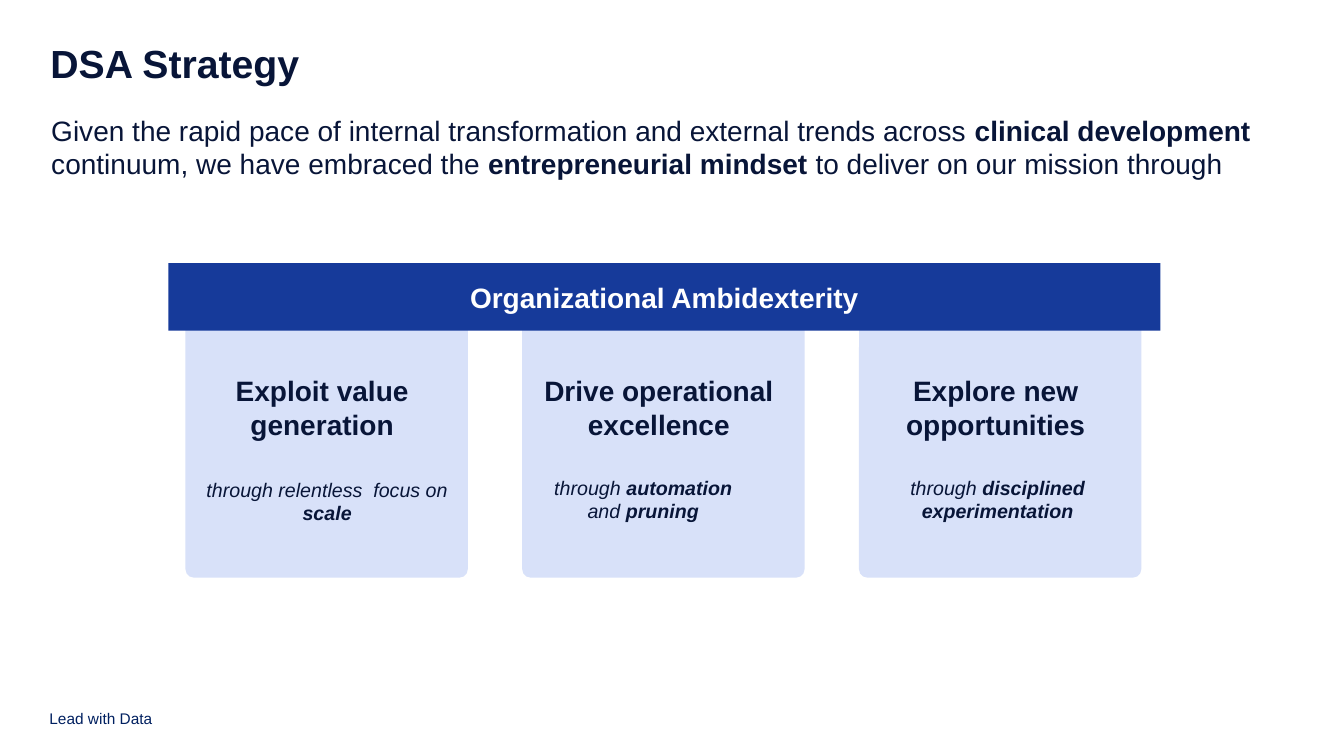
from pptx import Presentation
from pptx.dml.color import RGBColor
from pptx.enum.shapes import MSO_SHAPE
from pptx.enum.text import MSO_ANCHOR, MSO_AUTO_SIZE, PP_ALIGN
from pptx.util import Emu, Pt

PX = 9144  # 100 px to the inch
NAVY = RGBColor(0x08, 0x15, 0x38)
FOOTER_BLUE = RGBColor(0x00, 0x20, 0x60)
BAR_BLUE = RGBColor(0x16, 0x3A, 0x9A)
PALE_BLUE = RGBColor(0xD8, 0xE1, 0xF9)
WHITE = RGBColor(0xFF, 0xFF, 0xFF)

ROUND_RECT = MSO_SHAPE.ROUNDED_RECTANGLE
LEFT, CENTER = PP_ALIGN.LEFT, PP_ALIGN.CENTER
TOP, MIDDLE, BOTTOM = MSO_ANCHOR.TOP, MSO_ANCHOR.MIDDLE, MSO_ANCHOR.BOTTOM
NO_AUTOFIT = MSO_AUTO_SIZE.NONE

TITLE_FONT = dict(size=Pt(28), bold=True)
LEAD_FONT = dict(size=Pt(20))
HEADING_FONT = dict(size=Pt(20), bold=True)
DETAIL_FONT = dict(size=Pt(14), italic=True)
FOOTER_FONT = dict(size=Pt(11))

# Each pillar: heading, detail paragraphs of (text, bold) runs,
# offset of the detail box, right indent of its first line
PILLARS = [
    ("Exploit value generation",
     [[("through relentless  focus on ", False), ("scale", True)]],
     (5, 155), 0),
    ("Drive operational excellence",
     [[("through ", False), ("automation", True)],
      [("and ", False), ("pruning", True)]],
     (9, 153), 49),
    ("Explore new opportunities",
     [[("through ", False), ("disciplined experimentation", True)]],
     (2, 153), 0),
]


def px(*lengths):
    return [Emu(n * PX) for n in lengths]


def write(tf, paragraphs, font, color=NAVY, align=LEFT, anchor=TOP):
    """Fill a text frame with paragraphs of (text, bold) runs."""
    tf.word_wrap = True
    tf.auto_size = NO_AUTOFIT
    tf.vertical_anchor = anchor
    for i, runs in enumerate(paragraphs):
        p = tf.paragraphs[0] if i == 0 else tf.add_paragraph()
        p.alignment = align
        for text, bold in runs:
            r = p.add_run()
            r.text = text
            for name, value in dict(name="Arial", bold=bold, **{
                    k: v for k, v in font.items() if k != "bold"}).items():
                setattr(r.font, name, value)
            r.font.color.rgb = color


def set_margins(tf, top=0):
    tf.margin_left = tf.margin_right = tf.margin_bottom = 0
    tf.margin_top = Emu(top * PX)


def add_text(slide, box, paragraphs, font, **style):
    sp = slide.shapes.add_textbox(*px(*box))
    write(sp.text_frame, paragraphs, font, **style)
    return sp


def add_panel(slide, box, color, corner):
    sp = slide.shapes.add_shape(ROUND_RECT, *px(*box))
    sp.adjustments[0] = corner
    sp.shadow.inherit = False
    sp.fill.solid()
    sp.fill.fore_color.rgb = color
    sp.line.fill.background()
    return sp


def add_title(slide, box, text):
    sp = slide.shapes.title
    sp.left, sp.top, sp.width, sp.height = px(*box)
    set_margins(sp.text_frame, top=3)
    write(sp.text_frame, [[(text, True)]], TITLE_FONT)


def add_lead(slide, box):
    add_text(slide, box, [[
        ("Given the rapid pace of internal transformation and external trends across ", False),
        ("clinical development ", True),
        ("continuum, we have embraced the ", False),
        ("entrepreneurial mindset ", True),
        ("to deliver on our mission through", False),
    ]], LEAD_FONT, anchor=MIDDLE)


def add_pillar(slide, box, heading, details, offset, indent):
    x, y, w, h = box
    add_panel(slide, box, PALE_BLUE, 0.032)
    add_text(slide, (x, y + 52, 271, 77), [[(heading, True)]],
             HEADING_FONT, align=CENTER)
    dx, dy = offset
    sp = add_text(slide, (x + dx, y + dy, 271, 57), details,
                  DETAIL_FONT, align=CENTER)
    if indent:
        p = sp.text_frame.paragraphs[0]
        p._p.get_or_add_pPr().set("marR", str(indent * PX))


def add_bar(slide, box, text):
    sp = add_panel(slide, box, BAR_BLUE, 0)
    write(sp.text_frame, [[(text, True)]], HEADING_FONT,
          color=WHITE, align=CENTER, anchor=MIDDLE)


def add_footer(slide, box, text):
    sp = add_text(slide, box, [[(text, False)]], FOOTER_FONT,
                  color=FOOTER_BLUE, anchor=BOTTOM)
    set_margins(sp.text_frame)


def main():
    prs = Presentation()
    prs.slide_width, prs.slide_height = px(1333, 750)
    slide = prs.slides.add_slide(prs.slide_layouts[5])

    # Heading and lead sentence
    add_title(slide, (50, 36, 833, 108), "DSA Strategy")
    add_lead(slide, (41, 98, 1235, 95))

    # Three pillars hanging from the bar
    for i, pillar in enumerate(PILLARS):
        add_pillar(slide, (184 + 334 * i, 314, 280, 259), *pillar)
    add_bar(slide, (167, 261, 984, 67), "Organizational Ambidexterity")

    # Footer
    add_footer(slide, (49, 700, 176, 22), "Lead with Data")
    prs.save("out.pptx")


if __name__ == "__main__":
    main()
